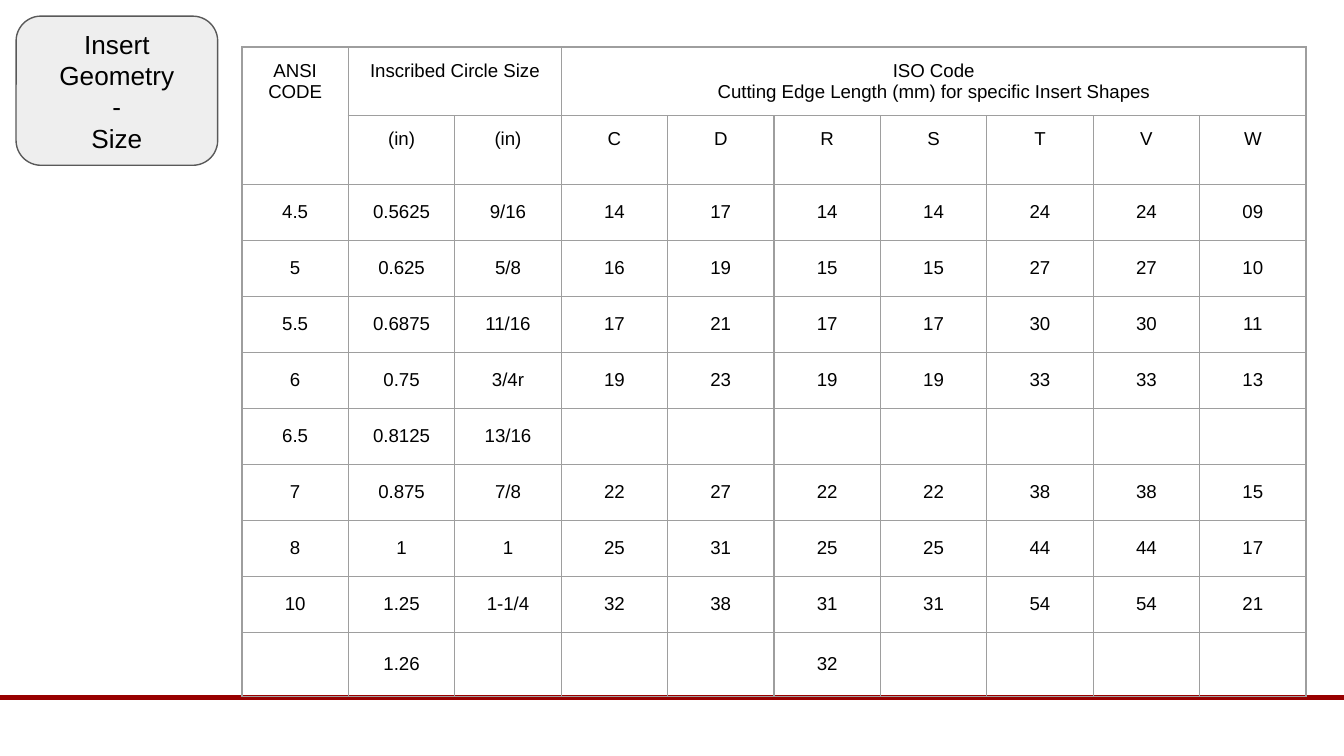
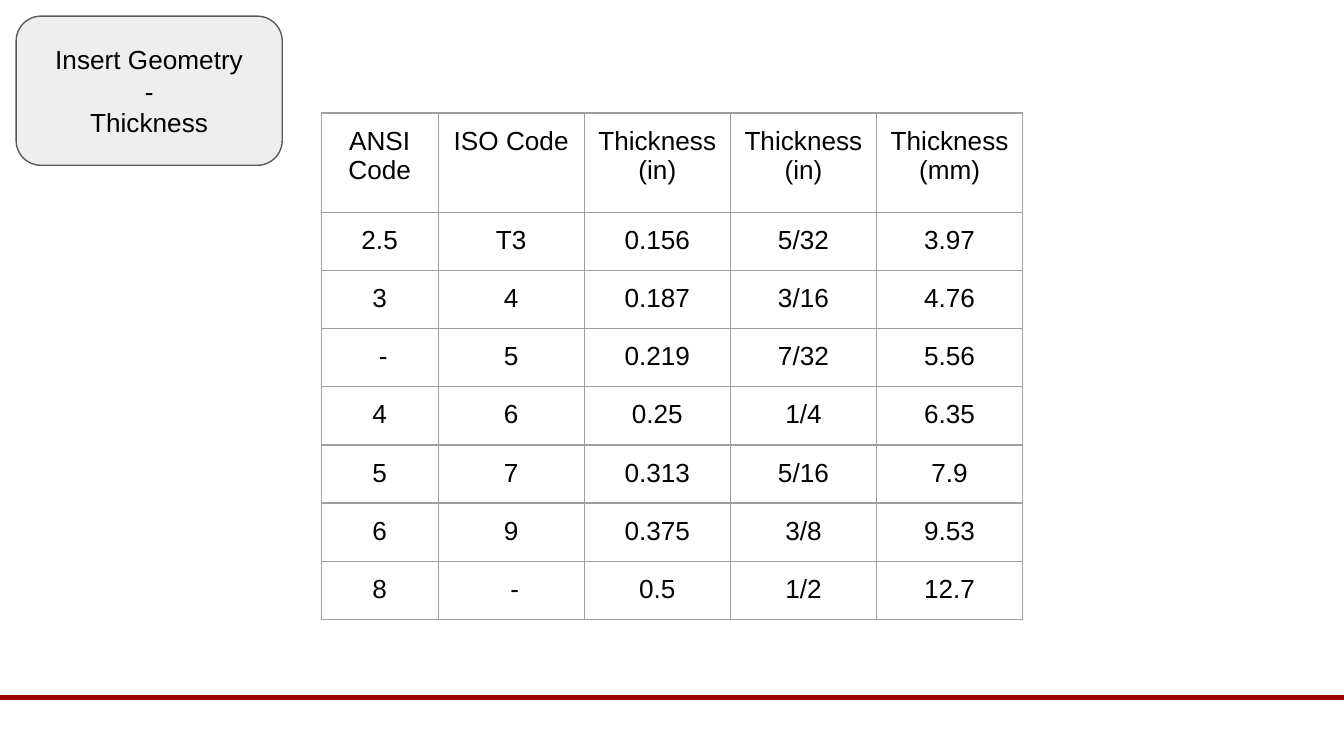
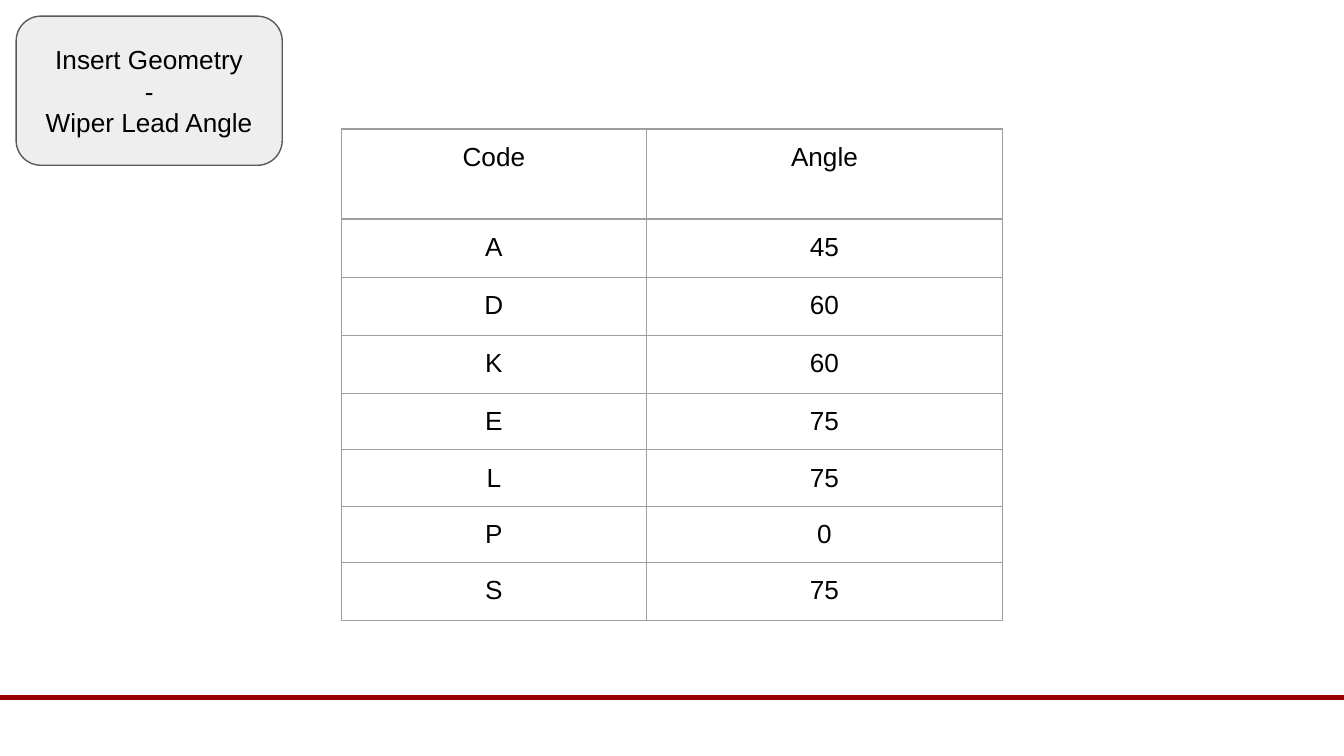
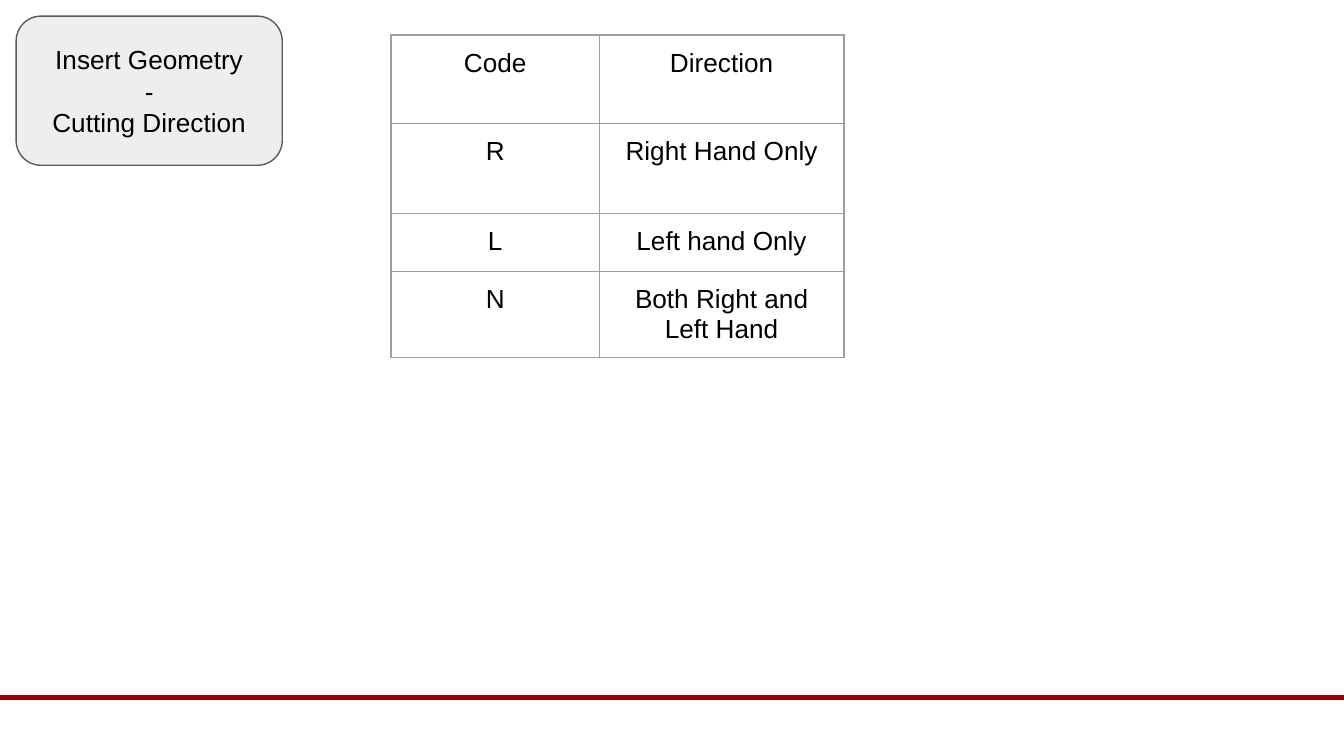
from lxml.etree import SubElement
from pptx import Presentation
from pptx.dml.color import RGBColor
from pptx.enum.shapes import MSO_CONNECTOR, MSO_SHAPE
from pptx.enum.text import MSO_ANCHOR, PP_ALIGN
from pptx.oxml.ns import qn
from pptx.util import Inches, Pt

WIDTH = 10
HEIGHT = WIDTH * 9 / 16
FONT = "Arial"
BLACK, PANEL, OUTLINE = "000000", "EEEEEE", "595959"
GRID, RULE = "9E9E9E", "980000"
INSET = 0.1
MARGIN = 0.12
ROW = 3.03 / 7
SMALL_ROW = 5 / 12

SIZE_ROWS = [
    ["ANSI CODE", "Inscribed Circle Size", "",
     "ISO Code\nCutting Edge Length (mm) for specific Insert Shapes"] + [""] * 6,
    ["", "(in)", "(in)", *"CDRSTVW"],
    "4.5 0.5625 9/16 14 17 14 14 24 24 09".split(),
    "5 0.625 5/8 16 19 15 15 27 27 10".split(),
    "5.5 0.6875 11/16 17 21 17 17 30 30 11".split(),
    "6 0.75 3/4r 19 23 19 19 33 33 13".split(),
    ["6.5", "0.8125", "13/16"] + [""] * 7,
    "7 0.875 7/8 22 27 22 22 38 38 15".split(),
    "8 1 1 25 31 25 25 44 44 17".split(),
    "10 1.25 1-1/4 32 38 31 31 54 54 21".split(),
    ["", "1.26", "", "", "", "32", "", "", "", ""],
]
SIZE_SPANS = [((0, 0), (1, 0)), ((0, 1), (0, 2)), ((0, 3), (0, 9))]

THICKNESS_ROWS = [
    ["ANSI Code", "ISO Code", "Thickness\n(in)", "Thickness(in)", "Thickness (mm)"],
    ["2.5", "T3", "0.156", "5/32", "3.97"],
    ["3", "4", "0.187", "3/16", "4.76"],
    [" -", "5", "0.219", "7/32", "5.56"],
    ["4", "6", "0.25", "1/4", "6.35"],
    ["5", "7", "0.313", "5/16", "7.9"],
    ["6", "9", "0.375", "3/8", "9.53"],
    ["8", " -", "0.5", "1/2", "12.7"],
]

ANGLE_ROWS = [
    ["Code", "Angle"], ["A", "45"], ["D", "60"], ["K", "60"],
    ["E", "75"], ["L", "75"], ["P", "0"], ["S", "75"],
]

DIRECTION_ROWS = [
    ["Code", "Direction"],
    ["R", "Right Hand Only"],
    ["L", "Left hand Only"],
    ["N", "Both Right and Left Hand"],
]


def color(value):
    return RGBColor.from_string(value)


def format_text(frame, size):
    for para in frame.paragraphs:
        para.alignment = PP_ALIGN.CENTER
        for span in para.runs:
            span.font.name = FONT
            span.font.size = Pt(size)
            span.font.color.rgb = color(BLACK)
        if not para.runs:
            SubElement(para._p, qn("a:endParaRPr"), sz=str(size * 100))


def set_insets(target):
    for side in ("left", "right", "top", "bottom"):
        setattr(target, f"margin_{side}", Inches(INSET))


def add_rule_to_layout(slide, layout):
    """Draw the bottom rule and move it to the layout that all slides share."""
    level = Inches(5.19)
    rule = slide.shapes.add_connector(
        MSO_CONNECTOR.STRAIGHT, 0, level, Inches(WIDTH), level)
    rule.line.color.rgb = color(RULE)
    rule.line.width = Pt(2.25)
    SubElement(rule.element.spPr, qn("a:effectLst"))
    layout.shapes.element.append(rule.element)


def add_heading(slide, topic, width=1.98):
    box = slide.shapes.add_shape(
        MSO_SHAPE.ROUNDED_RECTANGLE,
        Inches(MARGIN), Inches(MARGIN), Inches(width), Inches(1.11))
    box.shadow.inherit = False
    box.fill.solid()
    box.fill.fore_color.rgb = color(PANEL)
    box.line.color.rgb = color(OUTLINE)
    box.line.width = Pt(0.75)
    frame = box.text_frame
    frame.word_wrap = True
    frame.vertical_anchor = MSO_ANCHOR.MIDDLE
    set_insets(frame)
    frame.text = f"Insert Geometry\n-\n{topic}"
    format_text(frame, 14)


def add_borders(cell):
    properties = cell._tc.get_or_add_tcPr()
    for side in ("lnL", "lnR", "lnT", "lnB"):
        line = SubElement(properties, qn(f"a:{side}"), w=str(Pt(0.75)))
        fill = SubElement(line, qn("a:solidFill"))
        SubElement(fill, qn("a:srgbClr"), val=GRID)


def add_grid(slide, left, top, columns, heights, rows, size=14, spans=(),
             header_rows=None):
    """Add a table; rows after header_rows, if given, are centred vertically."""
    table = slide.shapes.add_table(
        len(rows), len(columns), Inches(left), Inches(top),
        Inches(sum(columns)), Inches(sum(heights))).table
    table.first_row = table.horz_banding = False
    for column, width in zip(table.columns, columns):
        column.width = Inches(width)
    for row, height in zip(table.rows, heights):
        row.height = Inches(height)
    for start, end in spans:
        table.cell(*start).merge(table.cell(*end))
    for row_number, texts in enumerate(rows):
        centred = header_rows is not None and row_number >= header_rows
        for column_number, text in enumerate(texts):
            cell = table.cell(row_number, column_number)
            add_borders(cell)
            cell.fill.background()
            set_insets(cell)
            cell.vertical_anchor = MSO_ANCHOR.MIDDLE if centred else MSO_ANCHOR.TOP
            cell.text_frame.text = text
            format_text(cell.text_frame, size)


def main():
    deck = Presentation()
    deck.slide_width, deck.slide_height = Inches(WIDTH), Inches(HEIGHT)
    blank = deck.slide_layouts[6]
    size, thickness, angle, direction = [
        deck.slides.add_slide(blank) for _ in range(4)]
    add_rule_to_layout(size, blank)

    add_heading(size, "Size", width=1.5)
    add_grid(size, 1.8, 0.35, [7.92 / 10] * 10,
             [0.51] * 2 + [SMALL_ROW] * 8 + [0.48],
             SIZE_ROWS, size=10, spans=SIZE_SPANS, header_rows=2)

    add_heading(thickness, "Thickness")
    add_grid(thickness, 2.39, 0.84, [0.87] + [4.35 / 4] * 4, [0.74] + [ROW] * 7,
             THICKNESS_ROWS)

    add_heading(angle, "Wiper Lead Angle")
    add_grid(angle, 2.54, 0.96, [2.27, 2.65],
             [0.67] + [ROW] * 3 + [0.42] * 3 + [ROW], ANGLE_ROWS)

    add_heading(direction, "Cutting Direction")
    add_grid(direction, 2.91, 0.26, [1.55, 1.82], [0.66, 0.67, ROW, 0.64],
             DIRECTION_ROWS)

    deck.save("out.pptx")


if __name__ == "__main__":
    main()
